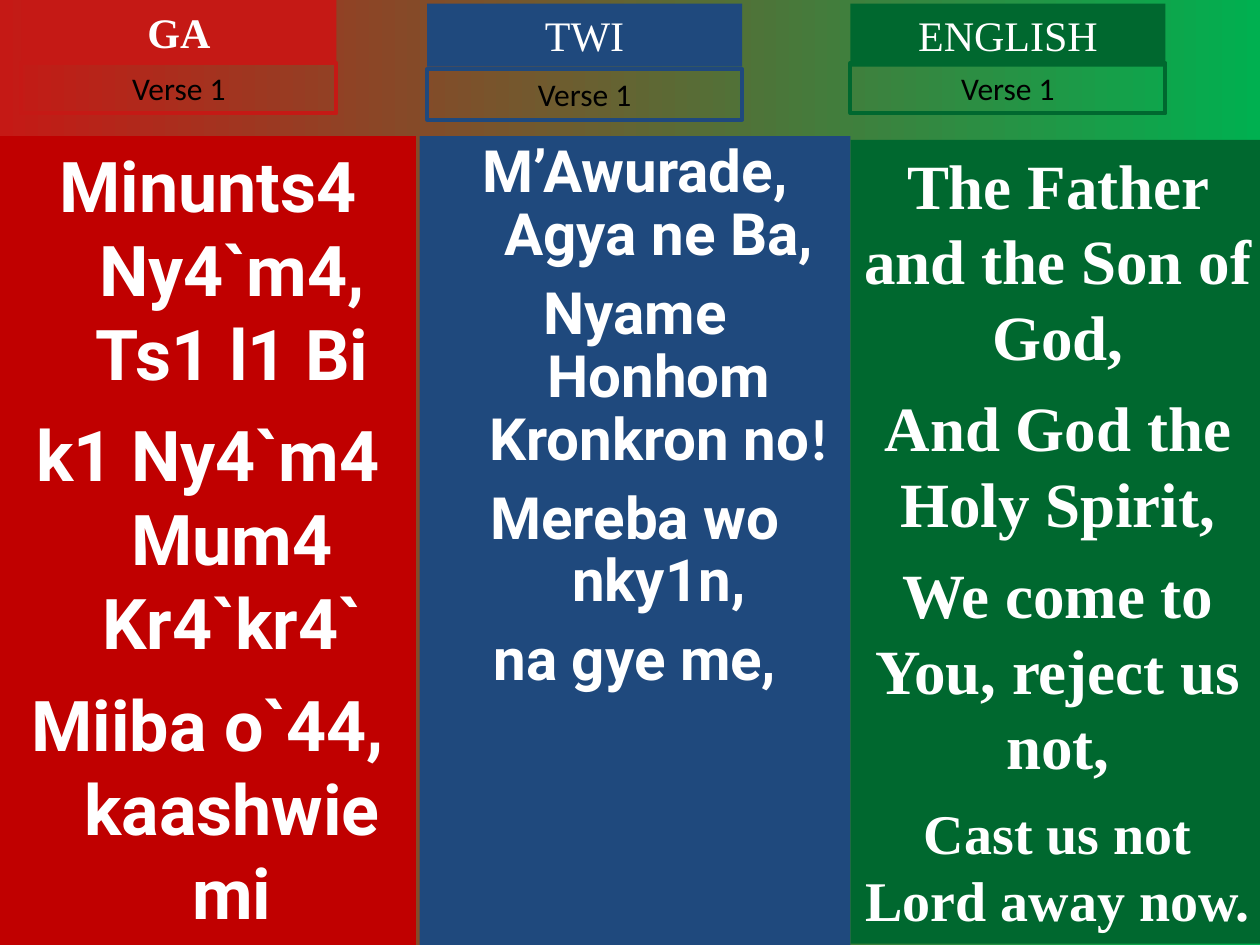
from dataclasses import dataclass
from typing import Optional

from pptx import Presentation
from pptx import util as u
from pptx.dml.color import RGBColor
from pptx.enum import shapes, text
from pptx.oxml.ns import qn
from lxml import etree

COLS, ROWS = 100, 75
SERIF, SANS, PLAIN = "Times New Roman", "Roboto", "Calibri"
WHITE, BLACK = "FFFFFF", "000000"


@dataclass
class Box:
    x: float
    y: float
    w: float
    h: float


@dataclass
class Line:
    text: str
    size: float
    tail: str = ""


@dataclass
class Style:
    font: str
    color: str = WHITE
    bold: bool = False
    before: float = 0
    spacing: float = 1.0
    hanging: float = 0


@dataclass
class Column:
    name: str
    accent: str
    panel_color: str
    panel: Box
    header: Box
    tag: Box
    header_bold: bool
    style: Style
    lines: list[Line]


def rgb(value: str) -> RGBColor:
    return RGBColor.from_string(value)


def format_run(r, size: float, style: Style, font: str) -> None:
    r.font.size, r.font.name = u.Pt(size), font
    r.font.bold = style.bold
    r.font.color.rgb = rgb(style.color)


def write(tf, lines: list[Line], style: Style) -> None:
    tf.word_wrap = True
    tf.auto_size = text.MSO_AUTO_SIZE.NONE
    tf.vertical_anchor = text.MSO_ANCHOR.TOP
    tf.margin_left = tf.margin_right = u.Inches(0.1)
    tf.margin_top = tf.margin_bottom = u.Inches(0.05)
    tf.text = "\n".join(line.text for line in lines)
    for i, (p, line) in enumerate(zip(tf.paragraphs, lines)):
        p.alignment = text.PP_ALIGN.CENTER
        p.line_spacing = style.spacing
        p.space_before = u.Pt(style.before if i else 0)
        pPr = p._p.get_or_add_pPr()
        pPr.set("marL", str(u.Inches(style.hanging)))
        pPr.set("indent", str(-u.Inches(style.hanging)))
        etree.SubElement(pPr, qn("a:buNone"))
        format_run(p.runs[0], line.size, style, style.font)
        if line.tail:
            r = p.add_run()
            r.text = line.tail
            format_run(r, line.size, style, PLAIN)


def draw_box(prs, s, box: Box, lines: list[Line], style: Style,
             fill: Optional[str] = None, outline: Optional[str] = None, holder=None) -> None:
    cw, rh = prs.slide_width / COLS, prs.slide_height / ROWS
    place = [round(v) for v in (box.x * cw, box.y * rh, box.w * cw, box.h * rh)]
    if holder is None:
        sp = s.shapes.add_shape(shapes.MSO_SHAPE.RECTANGLE, *place)
        sp.shadow.inherit = False
    else:
        sp = holder
        sp.left, sp.top, sp.width, sp.height = place
    if fill:
        sp.fill.solid()
        sp.fill.fore_color.rgb = rgb(fill)
    else:
        sp.fill.background()
    if outline:
        sp.line.color.rgb = rgb(outline)
        sp.line.width = u.Pt(2.25)
    else:
        sp.line.fill.background()
    write(sp.text_frame, lines, style)


def draw_column(prs, s, col: Column, title=None, body=None) -> None:
    draw_box(prs, s, col.panel, col.lines, col.style, fill=col.panel_color, holder=body)
    draw_box(prs, s, col.header, [Line(col.name, 24)], Style(SERIF, bold=col.header_bold),
             fill=col.accent, holder=title)
    draw_box(prs, s, col.tag, [Line("Verse 1", 18)], Style(PLAIN, BLACK), outline=col.accent)


COLUMNS = [
    Column("GA", "C51915", "C00000", Box(0, 10.8, 33, 64.2), Box(1.7, 0, 25, 5),
           Box(1.7, 5, 25, 4), True, Style(SANS, bold=True, before=10, hanging=0.38),
           [Line("Minunts4 Ny4`m4, Ts1 l1 Bi", 40),
            Line("k1 Ny4`m4 Mum4 Kr4`kr4`", 40),
            Line("Miiba o`44, kaashwie mi", 40)]),
    Column("TWI", "1F497D", "1F497D", Box(33.3, 10.8, 34.2, 64.2), Box(33.9, 0.3, 25, 5),
           Box(33.9, 5.5, 25, 4), False,
           Style(SANS, bold=True, before=9, spacing=0.9, hanging=0.38),
           [Line("M’Awurade, Agya ne Ba,", 33.3),
            Line("Nyame Honhom Kronkron no", 33.3, "!"),
            Line("Mereba wo nky1n,", 33.3),
            Line("na gye me,", 33.3)]),
    Column("ENGLISH", "00682F", "00682F", Box(67.5, 11.1, 32.9, 63.8), Box(67.5, 0.3, 25, 5),
           Box(67.5, 5, 25, 4), False, Style(SERIF, bold=True, before=9),
           [Line("The Father and the Son of God,", 36),
            Line("And God the Holy Spirit,", 36),
            Line("We come to You, reject us not,", 36),
            Line("Cast us not Lord away now.", 32)]),
]


def main() -> None:
    prs = Presentation()
    prs.slide_width, prs.slide_height = u.Inches(10), u.Inches(7.5)
    s = prs.slides.add_slide(prs.slide_layouts[3])
    bg = s.background.fill
    bg.gradient()
    bg.gradient_angle = 0
    for stop, color in zip(bg.gradient_stops, ("C51915", "00B050")):
        stop.color.rgb = rgb(color)
    ga, twi, english = COLUMNS
    draw_column(prs, s, ga, title=s.shapes.title, body=s.placeholders[1])
    draw_column(prs, s, twi, body=s.placeholders[2])
    draw_column(prs, s, english)
    prs.save("out.pptx")


if __name__ == "__main__":
    main()
